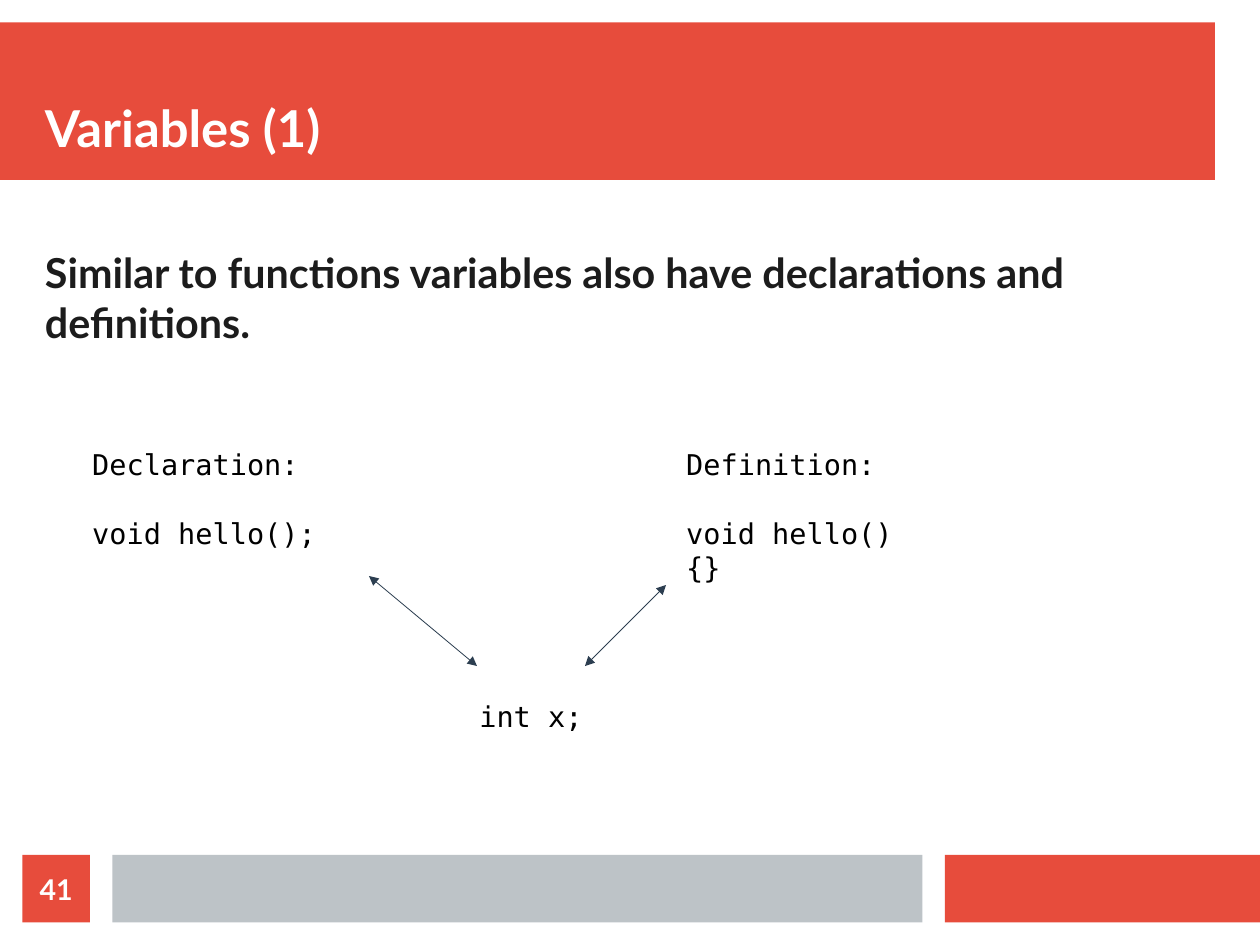
from lxml import etree
from pptx import Presentation
from pptx.dml.color import RGBColor
from pptx.enum.shapes import MSO_CONNECTOR, MSO_SHAPE
from pptx.enum.text import MSO_ANCHOR, PP_ALIGN
from pptx.oxml.ns import qn
from pptx.util import Cm, Pt

RED = RGBColor(0xE7, 0x4C, 0x3C)
GREY = RGBColor(0xBD, 0xC3, 0xC7)
NAVY = RGBColor(0x2C, 0x3E, 0x50)
WHITE = RGBColor(0xFF, 0xFF, 0xFF)
INK = RGBColor(0x1C, 0x1C, 0x1C)
BLACK = RGBColor(0, 0, 0)
SANS = "Lato"
MONO = "DejaVu Sans Mono"
RECT = MSO_SHAPE.RECTANGLE
STRAIGHT = MSO_CONNECTOR.STRAIGHT
TOP, MIDDLE, BOTTOM = MSO_ANCHOR.TOP, MSO_ANCHOR.MIDDLE, MSO_ANCHOR.BOTTOM
LEFT, CENTER = PP_ALIGN.LEFT, PP_ALIGN.CENTER


def add_bar(slide, left, top, width, height, color):
    bar = slide.shapes.add_shape(RECT, Cm(left), Cm(top), Cm(width), Cm(height))
    bar.shadow.inherit = False
    bar.fill.solid()
    bar.fill.fore_color.rgb = color
    bar.line.fill.background()
    return bar


def set_font(para, name, size, color, bold):
    font = para.font
    font.name = name
    font.size = Pt(size)
    font.color.rgb = color
    font.bold = bold


def set_label(shape, text, size, color, anchor=TOP, align=LEFT):
    frame = shape.text_frame
    frame.word_wrap = True
    frame.vertical_anchor = anchor
    frame.margin_left = frame.margin_right = 0
    frame.margin_top = frame.margin_bottom = 0
    para = frame.paragraphs[0]
    para.text = text
    para.alignment = align
    set_font(para, SANS, size, color, True)


def add_text(slide, left, top, width, height, text, size, color, anchor=TOP):
    box = slide.shapes.add_textbox(Cm(left), Cm(top), Cm(width), Cm(height))
    set_label(box, text, size, color, anchor)


def add_code(slide, left, top, lines, align=LEFT):
    box = slide.shapes.add_textbox(Cm(left), Cm(top), Cm(6.8), Cm(4))
    frame = box.text_frame
    frame.word_wrap = True
    for index, line in enumerate(lines):
        para = frame.add_paragraph() if index else frame.paragraphs[0]
        para.text = line
        para.alignment = align
        if index == 1:
            para.space_before = Pt(22)
        set_font(para, MONO, 18, BLACK, False)


def add_arrow(slide, x1, y1, x2, y2):
    arrow = slide.shapes.add_connector(STRAIGHT, Cm(x1), Cm(y1), Cm(x2), Cm(y2))
    arrow.line.color.rgb = NAVY
    arrow.line.width = Pt(0.5)
    line = arrow.line._get_or_add_ln()
    for end in ("a:headEnd", "a:tailEnd"):
        etree.SubElement(line, qn(end), type="triangle")
    etree.SubElement(arrow._element.spPr, qn("a:effectLst"))


def main():
    deck = Presentation()
    deck.slide_width, deck.slide_height = Cm(28), Cm(21)
    slide = deck.slides.add_slide(deck.slide_layouts[6])

    add_bar(slide, 0, 0.5, 27, 3.5, RED)
    add_bar(slide, 21, 19, 7, 1.5, RED)
    add_bar(slide, 2.5, 19, 18, 1.5, GREY)

    add_text(slide, 1, 1, 26, 2.5, "Variables (1)", 32, WHITE, BOTTOM)
    add_text(slide, 1, 5.5, 25.5, 3.7,
             "Similar to functions variables also have declarations and definitions.",
             26, INK)

    add_code(slide, 1.8, 9.8, ["Declaration:", "void hello();"])
    add_code(slide, 15, 9.8, ["Definition:", "void hello()", "{}"])
    add_code(slide, 8.4, 15.4, ["int x;"], CENTER)

    add_arrow(slide, 8.2, 12.8, 10.6, 14.8)
    add_arrow(slide, 14.8, 13, 13, 14.8)

    badge = add_bar(slide, 0.5, 19, 1.5, 1.5, RED)
    set_label(badge, "41", 18, WHITE, MIDDLE, CENTER)

    deck.save("out.pptx")


if __name__ == "__main__":
    main()
